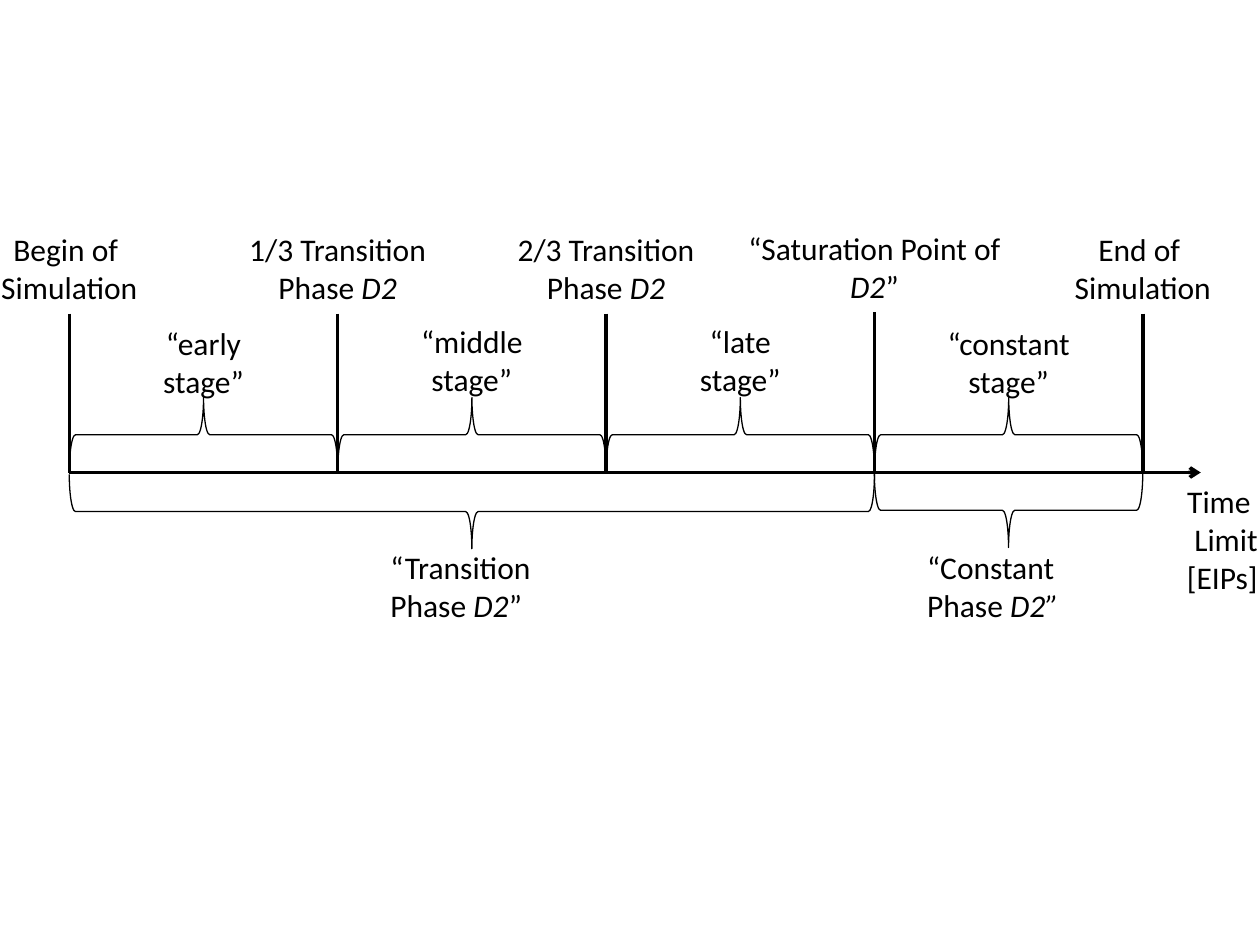
import pptx
import pptx.util
import pptx.dml.color
import pptx.enum.shapes
import pptx.enum.text
import pptx.oxml
import pptx.oxml.ns

Inches, Pt = pptx.util.Inches, pptx.util.Pt
SHAPE = pptx.enum.shapes.MSO_SHAPE
ALIGN = pptx.enum.text.PP_ALIGN
BLACK = pptx.dml.color.RGBColor(0, 0, 0)

# Text between asterisks is italic; each string is one paragraph.
# Events: lines, label width, label top
EVENTS = [
    (["Begin of ", "Simulation"], 1.42, 1.78),
    (["1/3 Transition Phase *D2*"], 2.2, 1.78),
    (["2/3 Transition Phase *D2*"], 2.2, 1.78),
    (["“Saturation Point of *D2*”"], 2.2, 1.77),
    (["End of ", "Simulation"], 1.42, 1.78),
]
# Stages: text, label width, label top
STAGES = [
    ("“early stage”", 1.02, 2.52),
    ("“middle stage”", 1.16, 2.51),
    ("“late stage”", 0.92, 2.51),
    ("“constant stage”", 1.5, 2.52),
]
# Phases: text, first event, last event, label left, brace middle
PHASES = [
    ("“Transition Phase *D2*”", 0, 3, 3.0, 4.06),
    ("“Constant Phase *D2”*", 3, 4, 7.26, 4.05),
]
LIMIT = ["Time ", "Limit", "[EIPs]"]

START, STEP, AXIS, END = 0.55, 2.13, 3.75, 9.53
DEPTH = 0.59
LABEL = 0.71


def place(event):
    return START + event * STEP


def line(slide, x1, y1, x2, y2):
    link = slide.shapes.add_connector(
        pptx.enum.shapes.MSO_CONNECTOR.STRAIGHT,
        Inches(x1), Inches(y1), Inches(x2), Inches(y2))
    link.line.color.rgb = BLACK
    link.line.width = Pt(2)
    props = link._element.spPr
    props.append(pptx.oxml.parse_xml(
        "<a:effectLst %s/>" % pptx.oxml.ns.nsdecls("a")))
    return link


def brace(slide, first, last, mid, turn):
    """Span two events with a left brace turned on its side."""
    span = (last - first) * STEP
    centre = place((first + last) / 2)
    shape = slide.shapes.add_shape(
        SHAPE.LEFT_BRACE, Inches(centre - DEPTH / 2), Inches(mid - span / 2),
        Inches(DEPTH), Inches(span))
    shape.rotation = turn
    shape.shadow.inherit = False
    shape.fill.background()
    shape.line.color.rgb = BLACK
    shape.line.width = Pt(0.75)


def label(slide, lines, left, top, width, height=LABEL, align=ALIGN.CENTER):
    box = slide.shapes.add_textbox(
        Inches(left), Inches(top), Inches(width), Inches(height))
    frame = box.text_frame
    frame.word_wrap = True
    for row, text in enumerate(lines):
        para = frame.add_paragraph() if row else frame.paragraphs[0]
        para.alignment = align
        for part, words in enumerate(text.split("*")):
            if not words:
                continue
            run = para.add_run()
            run.text = words
            style = {"name": "Calibri", "size": Pt(18), "italic": part % 2 == 1}
            for key, value in style.items():
                setattr(run.font, key, value)
            run.font.color.rgb = BLACK


def main():
    deck = pptx.Presentation()
    deck.slide_width, deck.slide_height = Inches(10), Inches(7.5)
    slide = deck.slides.add_slide(deck.slide_layouts[6])

    axis = line(slide, START, AXIS, END, AXIS)
    axis.line._get_or_add_ln().append(pptx.oxml.parse_xml(
        '<a:tailEnd type="arrow" %s/>' % pptx.oxml.ns.nsdecls("a")))

    for event, (lines, width, top) in enumerate(EVENTS):
        spot = place(event)
        line(slide, spot, top + LABEL, spot, AXIS)
        label(slide, lines, spot - width / 2, top, width)

    for stage, (text, width, top) in enumerate(STAGES):
        brace(slide, stage, stage + 1, 3.45, 90)
        label(slide, [text], place(stage + 0.5) - width / 2, top, width)

    for text, first, last, left, mid in PHASES:
        brace(slide, first, last, mid, 270)
        label(slide, [text], left, 4.3, 1.5, align=ALIGN.LEFT)

    label(slide, LIMIT, 8.76, 3.78, 1.32, 1.01, ALIGN.RIGHT)
    deck.save("out.pptx")


if __name__ == "__main__":
    main()
